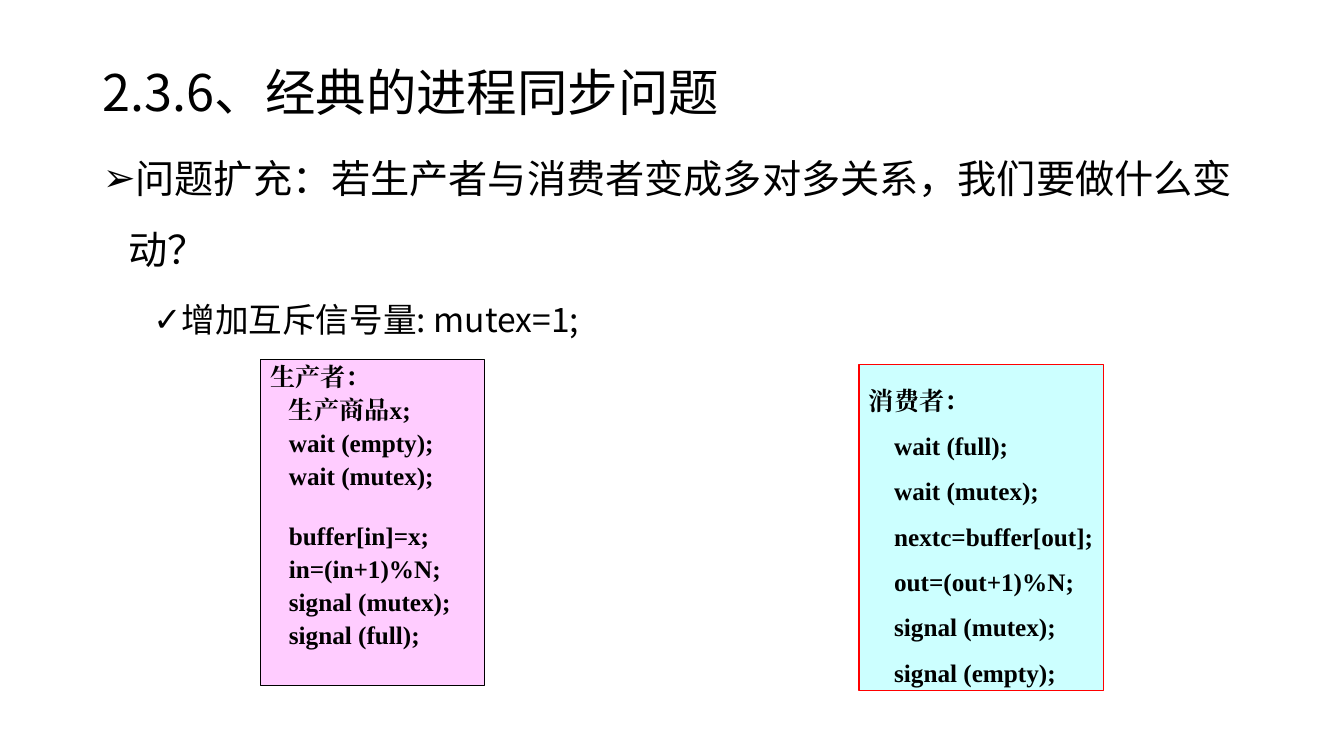
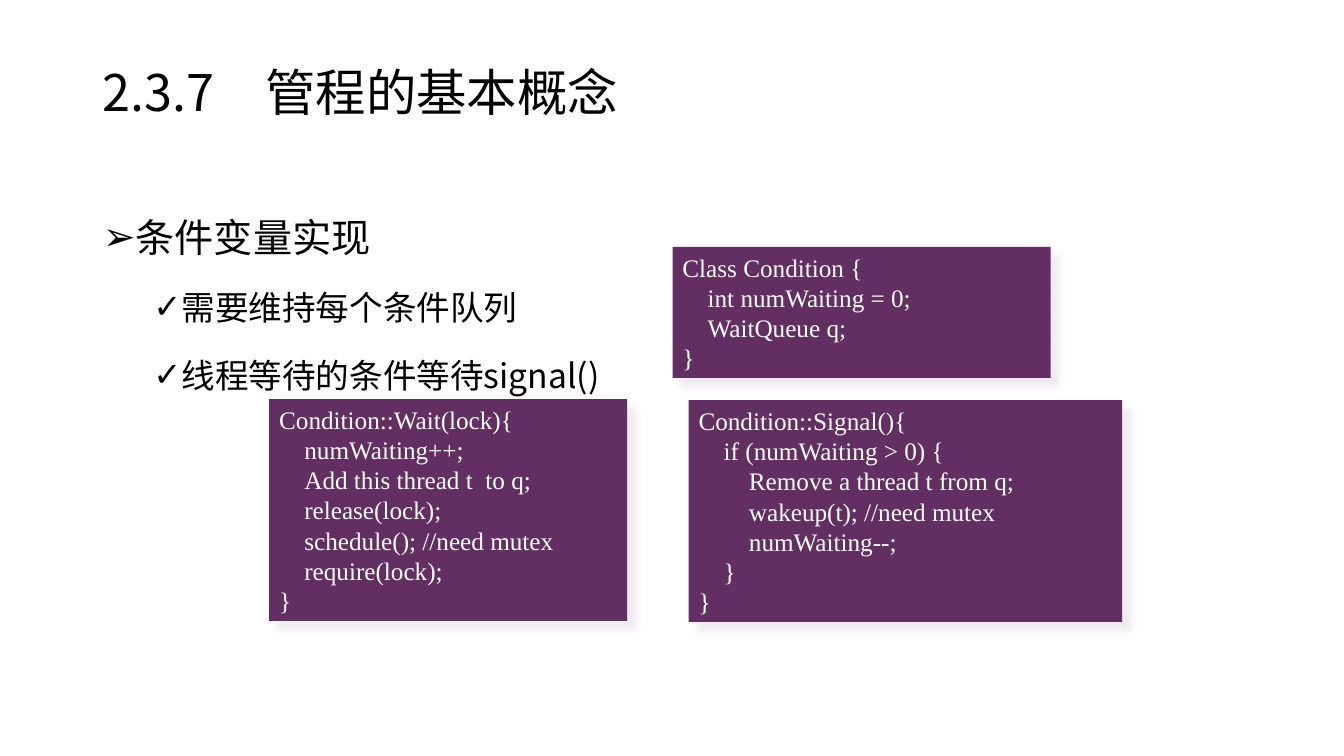
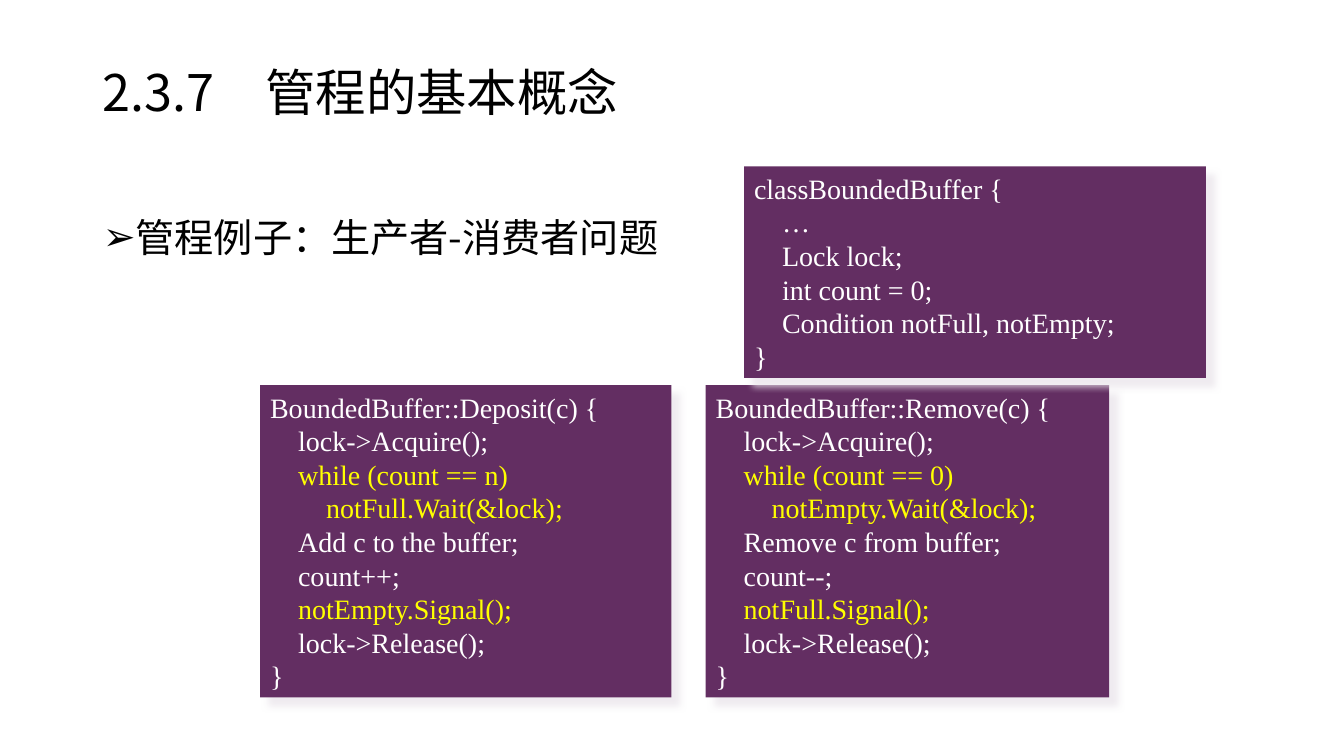
from dataclasses import dataclass

from lxml.etree import SubElement
from pptx import Presentation
from pptx.dml.color import RGBColor
from pptx.enum.shapes import MSO_SHAPE as Shape
from pptx.enum.text import MSO_ANCHOR as Anchor, MSO_AUTO_SIZE as AutoSize, PP_ALIGN as Align
from pptx.oxml.ns import qn
from pptx.util import Inches, Pt

COLORS = {
    "black": "000000",
    "white": "FFFFFF",
    "yellow": "FFFF00",
    "red": "FF0000",
    "pink": "FFCCFF",
    "cyan": "CCFFFF",
    "purple": "632E62",
    "shadow": "EAE5EB",
}
HEADING_FONT = "Noto Sans CJK SC"
CODE_FONT = "Times New Roman"
LEFT, WIDTH, BOTTOM = 0.92, 11.5, 6.76
LEVELS = [
    {"bullet": "➢", "margin": 0.25, "size": 28, "before": 10},
    {"bullet": "✓", "margin": 0.75, "size": 24, "before": 5},
]


@dataclass
class Line:
    text: str
    depth: int = 1
    color: str = ""
    gap: float = 0


@dataclass
class BoxStyle:
    fill: str
    text: str
    line: str = ""
    size: int = 18
    bold: bool = False
    spacing: float = 1.0
    before: float = 0
    step: float = 18
    grow: bool = True
    shadow: bool = False


PRODUCER = BoxStyle("pink", "black", "black", bold=True, spacing=0.9, before=4, step=13.5, grow=False)
CONSUMER = BoxStyle("cyan", "black", "red", bold=True, spacing=1.5)
CODE = BoxStyle("purple", "white", shadow=True)
LARGE_CODE = BoxStyle("purple", "white", size=20, step=20, shadow=True)


def rgb(name):
    return RGBColor.from_string(COLORS[name])


def place(item, left, top, width, height):
    item.left, item.top = Inches(left), Inches(top)
    item.width, item.height = Inches(width), Inches(height)


def add_span(para, text, font, size, color, bold=False):
    span = para.add_run()
    span.text = text
    span.font.name = font
    span.font.size = Pt(size)
    span.font.bold = bold
    span.font.color.rgb = rgb(color)
    SubElement(span.font._element, qn("a:ea"), typeface=font)


def set_indent(para, margin, indent=0):
    properties = para._p.get_or_add_pPr()
    properties.set("marL", str(int(margin)))
    properties.set("indent", str(int(indent)))
    return properties


def paragraphs(frame, items):
    for index, item in enumerate(items):
        para = frame.paragraphs[0] if index == 0 else frame.add_paragraph()
        para.alignment = Align.LEFT
        yield para, item


def add_title(page, text):
    title = page.shapes.title
    place(title, LEFT, 0.4, WIDTH, 1.09)
    frame = title.text_frame
    frame.auto_size = AutoSize.NONE
    frame.vertical_anchor = Anchor.MIDDLE
    para = frame.paragraphs[0]
    para.alignment = Align.LEFT
    para.line_spacing = 0.9
    add_span(para, text, HEADING_FONT, 36, "black")


def add_body(page, top, items):
    body = page.placeholders[1]
    place(body, LEFT, top, WIDTH, BOTTOM - top)
    frame = body.text_frame
    frame.auto_size = AutoSize.NONE
    for para, (depth, text) in paragraphs(frame, items):
        level = LEVELS[depth]
        para.level = depth
        para.line_spacing = 1.5
        para.space_before = Pt(level["before"])
        properties = set_indent(para, Inches(level["margin"]), Inches(-0.25))
        SubElement(properties, qn("a:buChar"), char=level["bullet"])
        add_span(para, text, HEADING_FONT, level["size"], "black")


def add_shadow(box):
    effects = box._element.spPr.find(qn("a:effectLst"))
    shadow = SubElement(effects, qn("a:outerShdw"), blurRad=str(Pt(5)), dist=str(Pt(8.5)),
                        dir="2700000", algn="tl", rotWithShape="0")
    color = SubElement(shadow, qn("a:srgbClr"), val=COLORS["shadow"])
    SubElement(color, qn("a:alpha"), val="75000")


def add_code_box(page, bounds, style, lines):
    box = page.shapes.add_shape(Shape.RECTANGLE, *map(Inches, bounds))
    box.shadow.inherit = False
    box.fill.solid()
    box.fill.fore_color.rgb = rgb(style.fill)
    if style.line:
        box.line.color.rgb = rgb(style.line)
        box.line.width = Pt(0.75)
    else:
        box.line.fill.background()
    if style.shadow:
        add_shadow(box)
    frame = box.text_frame
    frame.word_wrap = True
    frame.margin_right = Inches(0.05)
    frame.vertical_anchor = Anchor.TOP
    frame.auto_size = AutoSize.SHAPE_TO_FIT_TEXT if style.grow else AutoSize.NONE
    for para, line in paragraphs(frame, lines):
        para.line_spacing = style.spacing
        para.space_before = Pt(style.before + line.gap)
        set_indent(para, Pt(style.step * line.depth))
        add_span(para, line.text, CODE_FONT, style.size, line.color or style.text, style.bold)


def add_page(deck, title, body_top, items, boxes):
    page = deck.slides.add_slide(deck.slide_layouts[1])
    add_title(page, title)
    add_body(page, body_top, items)
    for bounds, style, lines in boxes:
        add_code_box(page, bounds, style, lines)


def add_synchronization_page(deck):
    producer = [
        Line("生产者：", 0),
        Line("生产商品x;"),
        Line("wait (empty);"),
        Line("wait (mutex);"),
        Line("buffer[in]=x;", gap=20),
        Line("in=(in+1)%N;"),
        Line("signal (mutex);"),
        Line("signal (full);"),
    ]
    consumer = [
        Line("消费者：", 0),
        Line("wait (full);"),
        Line("wait (mutex);"),
        Line("nextc=buffer[out];"),
        Line("out=(out+1)%N;"),
        Line("signal (mutex);"),
        Line("signal (empty);"),
    ]
    items = [
        (0, "问题扩充：若生产者与消费者变成多对多关系，我们要做什么变动？"),
        (1, "增加互斥信号量: mutex=1;"),
    ]
    add_page(deck, "2.3.6、经典的进程同步问题", 1.25, items, [
        ((2.58, 3.57, 2.23, 3.23), PRODUCER, producer),
        ((8.52, 3.62, 2.43, 3.23), CONSUMER, consumer),
    ])


def add_condition_page(deck, title):
    wait = [
        Line("Condition::Wait(lock){", 0),
        Line("numWaiting++;"),
        Line("Add this thread t  to q;"),
        Line("release(lock);"),
        Line("schedule(); //need mutex"),
        Line("require(lock);"),
        Line("}", 0),
    ]
    signal = [
        Line("Condition::Signal(){", 0),
        Line("if (numWaiting > 0) {"),
        Line("Remove a thread t from q;", 2),
        Line("wakeup(t); //need mutex", 2),
        Line("numWaiting--;", 2),
        Line("}"),
        Line("}", 0),
    ]
    condition = [
        Line("Class Condition {", 0),
        Line("int numWaiting = 0;"),
        Line("WaitQueue q;"),
        Line("}", 0),
    ]
    items = [
        (0, "条件变量实现"),
        (1, "需要维持每个条件队列"),
        (1, "线程等待的条件等待signal()"),
    ]
    add_page(deck, title, 1.83, items, [
        ((2.67, 3.96, 3.55, 2.2), CODE, wait),
        ((6.83, 3.97, 4.3, 2.2), CODE, signal),
        ((6.67, 2.45, 3.75, 1.3), CODE, condition),
    ])


def buffer_method(name, test, waiting, action, change, signalled):
    return [
        Line(f"BoundedBuffer::{name}(c) {{", 0),
        Line("lock->Acquire();"),
        Line(f"while (count == {test})", color="yellow"),
        Line(f"{waiting}.Wait(&lock);", 2, "yellow"),
        Line(action),
        Line(f"count{change};"),
        Line(f"{signalled}.Signal();", color="yellow"),
        Line("lock->Release();"),
        Line("}", 0),
    ]


def add_buffer_page(deck, title):
    deposit = buffer_method("Deposit", "n", "notFull", "Add c to the buffer;", "++", "notEmpty")
    remove = buffer_method("Remove", "0", "notEmpty", "Remove c from buffer;", "--", "notFull")
    fields = [
        Line("classBoundedBuffer {", 0),
        Line("…"),
        Line("Lock lock;"),
        Line("int count = 0;"),
        Line("Condition notFull, notEmpty;"),
        Line("}", 0),
    ]
    add_page(deck, title, 1.83, [(0, "管程例子：生产者-消费者问题")], [
        ((2.58, 3.82, 4.08, 3.1), LARGE_CODE, deposit),
        ((7, 3.82, 4, 3.1), LARGE_CODE, remove),
        ((7.38, 1.65, 4.58, 2.1), LARGE_CODE, fields),
    ])


def main():
    deck = Presentation()
    deck.slide_width, deck.slide_height = Inches(13.33), Inches(7.5)
    monitor_title = "2.3.7　管程的基本概念"
    add_synchronization_page(deck)
    add_condition_page(deck, monitor_title)
    add_buffer_page(deck, monitor_title)
    deck.save("out.pptx")


if __name__ == "__main__":
    main()
